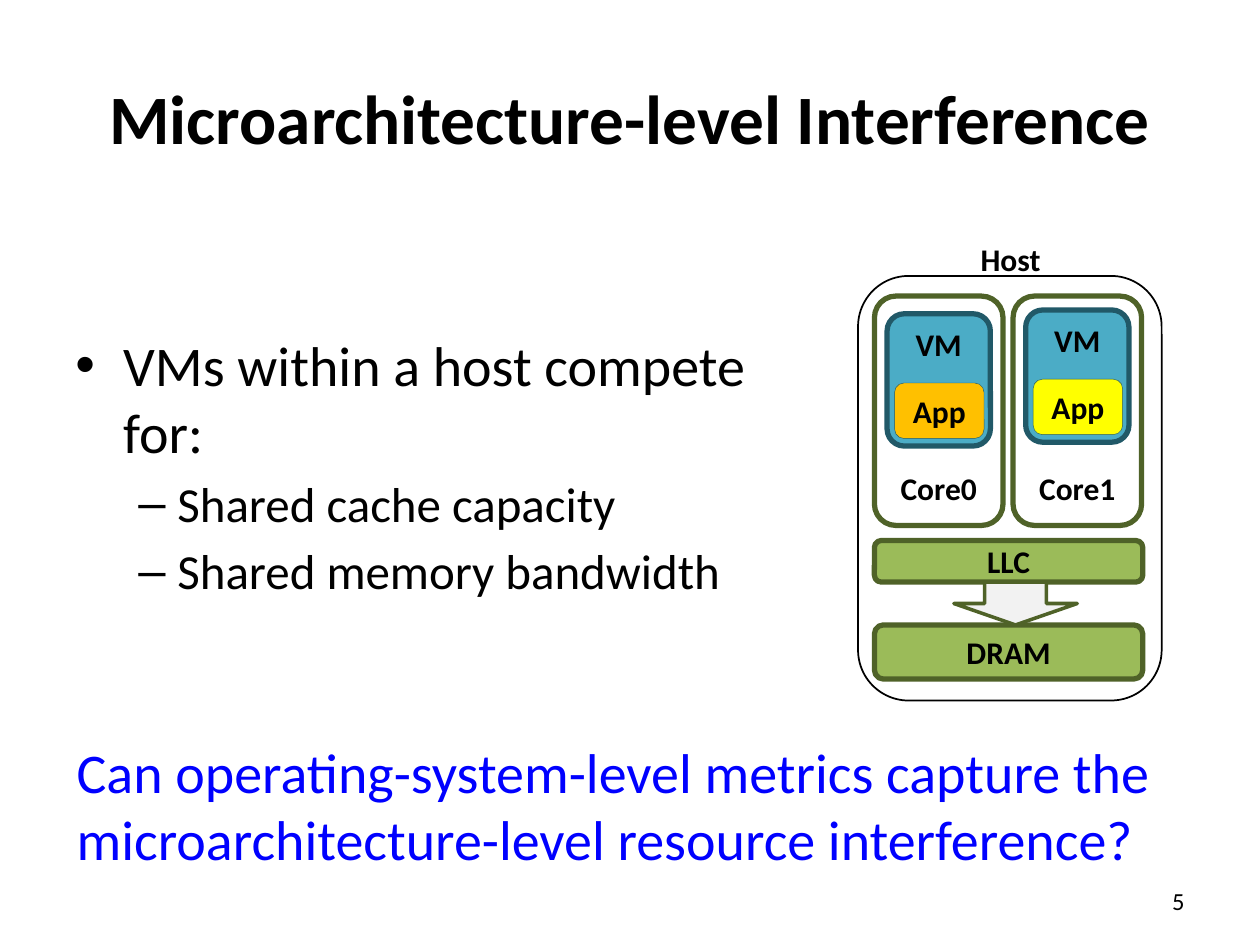
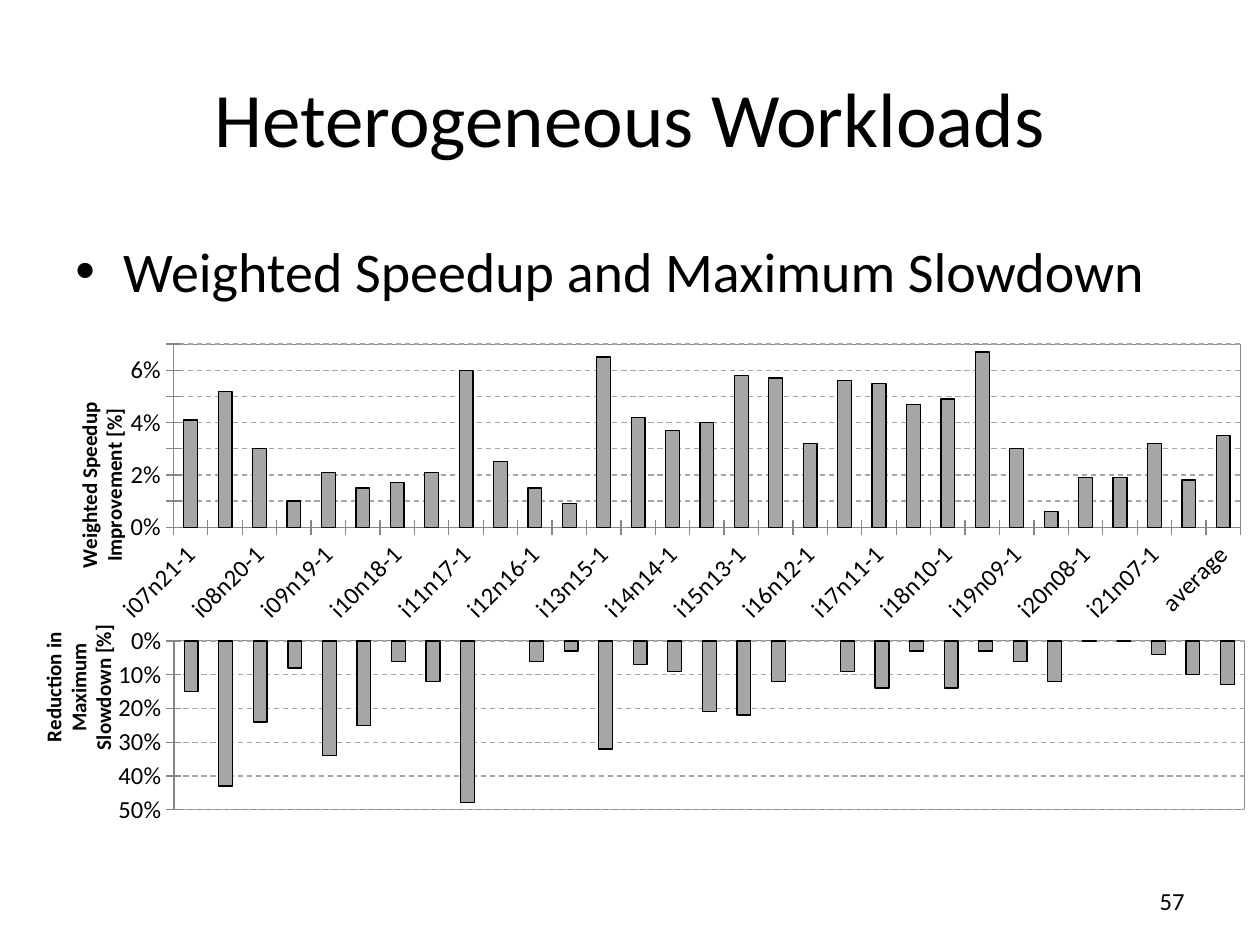
import pptx
import pptx.util
import pptx.chart.data
import pptx.dml.color
import pptx.enum.chart
import pptx.enum.dml
import pptx.enum.shapes
import pptx.enum.text
import pptx.oxml
import pptx.oxml.ns
from dataclasses import dataclass

PX = 9144  # one px is a hundredth of an inch
SHAPE = pptx.enum.shapes.MSO_SHAPE
ALIGN = pptx.enum.text.PP_ALIGN
ANCHOR = pptx.enum.text.MSO_ANCHOR
QN = pptx.oxml.ns.qn
NAMESPACES = pptx.oxml.ns.nsdecls("c", "a")


@dataclass(frozen=True)
class Theme:
    font: str = "Calibri"
    ink: str = "000000"
    question: str = "0000FF"
    vm: str = "4BACC6"
    vm_line: str = "215968"
    memory: str = "9BBB59"
    core_line: str = "4F6228"
    arrow: str = "F2F2F2"
    bar: str = "A6A6A6"
    axis: str = "868686"
    title: float = 44
    long_title: float = 39.6
    body: float = 32
    sub_body: float = 28
    label: float = 18
    small: float = 14
    axis_title: float = 12


THEME = Theme()

# ---- Content: interference slide ----
INTERFERENCE = {
    "title": "Microarchitecture-level Interference",
    "number": "5",
    "bullets": [
        (0, "VMs within a host compete for:"),
        (1, "Shared cache capacity"),
        (1, "Shared memory bandwidth"),
    ],
    "question": "Can operating-system-level metrics capture the "
                "microarchitecture-level resource interference?",
}
# core label, app colour, top of the virtual machine
CORES = [("Core0", "FFC000", 249), ("Core1", "FFFF00", 246)]
# label, top, height
MEMORIES = [("LLC", 429, 33), ("DRAM", 496, 43)]

# ---- Content: workloads slide ----
WORKLOADS = {
    "title": "Heterogeneous Workloads",
    "number": "57",
    "bullets": [(0, "Weighted Speedup and Maximum Slowdown")],
}
WORKLOAD_NAMES = [f"i{i:02}n{28 - i:02}-{run}" for i in range(7, 22) for run in (1, 2)] + ["average"]
SLOWDOWN = {
    "place": (0, 422, 1000, 394),
    "plot": (0.138, 0.22, 0.85, 0.34),
    "title": ["Reduction in", "Maximum", "Slowdown [%]"],
    "title_at": (0.028, 0.18),
    "maximum": 0.5, "step": 0.1, "downward": True,
    "names": [str(n + 1) for n in range(len(WORKLOAD_NAMES))],
    "values": [0.15, 0.43, 0.24, 0.08, 0.34, 0.25, 0.06, 0.12, 0.48, -0.03, 0.06,
               0.03, 0.32, 0.07, 0.09, 0.21, 0.22, 0.12, -0.06, 0.09, 0.14, 0.03,
               0.14, 0.03, 0.06, 0.12, 0, 0, 0.04, 0.1, 0.13],
}
SPEEDUP = {
    "place": (-29, 123, 1029, 383),
    "plot": (0.162, 0.392, 0.823, 0.38),
    "title": ["Weighted Speedup", "Improvement [%]"],
    "title_at": (0.083, 0.505),
    "maximum": 0.07, "step": 0.01, "downward": False,
    "names": WORKLOAD_NAMES,
    "values": [0.041, 0.052, 0.03, 0.01, 0.021, 0.015, 0.017, 0.021, 0.06, 0.025,
               0.015, 0.009, 0.065, 0.042, 0.037, 0.04, 0.058, 0.057, 0.032, 0.056,
               0.055, 0.047, 0.049, 0.067, 0.03, 0.006, 0.019, 0.019, 0.032, 0.018,
               0.035],
}
# level: bullet, left margin, hanging indent, type size
LEVELS = [("•", 38, 38, THEME.body), ("–", 81, 31, THEME.sub_body)]


# ---- Shared helpers ----
def emu(lengths):
    return [length * PX for length in lengths]


def rgb(colour):
    return pptx.dml.color.RGBColor.from_string(colour)


def style_font(font, size, colour=THEME.ink, bold=False):
    font.name = THEME.font
    font.size = pptx.util.Pt(size)
    font.bold = bold
    font.color.rgb = rgb(colour)


def style_line(line, colour, width):
    line.color.rgb = rgb(colour)
    line.width = pptx.util.Pt(width)


def write(para, text, size, **look):
    span = para.add_run()
    span.text = text
    style_font(span.font, size, **look)


def add_text(page, place, text, size, align=ALIGN.LEFT, anchor=ANCHOR.TOP, wrap=True, **look):
    frame = page.shapes.add_textbox(*emu(place)).text_frame
    frame.word_wrap = wrap
    frame.vertical_anchor = anchor
    frame.paragraphs[0].alignment = align
    write(frame.paragraphs[0], text, size, **look)


def add_block(page, place, line, width, fill=None, text=None, anchor=ANCHOR.MIDDLE,
              preset=SHAPE.ROUNDED_RECTANGLE):
    block = page.shapes.add_shape(preset, *emu(place))
    block.shadow.inherit = False
    if fill:
        block.fill.solid()
        block.fill.fore_color.rgb = rgb(fill)
    else:
        block.fill.background()
    style_line(block.line, line, width)
    if text:
        frame = block.text_frame
        frame.vertical_anchor = anchor
        frame.paragraphs[0].alignment = ALIGN.CENTER
        write(frame.paragraphs[0], text, THEME.label, bold=True)
    return block


def add_bullets(page, place, bullets):
    frame = page.shapes.add_textbox(*emu(place)).text_frame
    frame.word_wrap = True
    frame.margin_top = 13 * PX
    for index, (level, text) in enumerate(bullets):
        para = frame.add_paragraph() if index else frame.paragraphs[0]
        mark, margin, hanging, size = LEVELS[level]
        properties = para._p.get_or_add_pPr()
        properties.set("marL", str(margin * PX))
        properties.set("indent", str(-hanging * PX))
        for tag, key, value in (("buFont", "typeface", "Arial"), ("buChar", "char", mark)):
            bullet = pptx.oxml.parse_xml(f"<a:{tag} {NAMESPACES}/>")
            bullet.set(key, value)
            properties.append(bullet)
        if index:
            para.space_before = pptx.util.Pt(5)
        write(para, text, size)


def add_title(page, text, left, width, size, bold=False):
    add_text(page, (left, 30, width, 125), text, size, ALIGN.CENTER, ANCHOR.MIDDLE, bold=bold)


def add_number(page, text):
    add_text(page, (717, 695, 233, 40), text, THEME.small, ALIGN.RIGHT, ANCHOR.MIDDLE)


# ---- Chart helpers ----
def manual_layout(*numbers, inner=False):
    parts = '<c:layoutTarget val="inner"/>' if inner else ""
    parts += '<c:xMode val="edge"/><c:yMode val="edge"/>'
    parts += "".join(f'<c:{key} val="{n}"/>' for key, n in zip("xywh", numbers))
    return pptx.oxml.parse_xml(
        f"<c:layout {NAMESPACES}><c:manualLayout>{parts}</c:manualLayout></c:layout>")


def drop_layout(parent):
    for old in parent.findall(QN("c:layout")):
        parent.remove(old)


def frame_properties(line):
    return pptx.oxml.parse_xml(f"<c:spPr {NAMESPACES}><a:noFill/><a:ln>{line}</a:ln></c:spPr>")


def add_axis_title(axis, lines, place):
    frame = axis.axis_title.text_frame
    for index, text in enumerate(lines):
        para = frame.add_paragraph() if index else frame.paragraphs[0]
        write(para, text, THEME.axis_title, bold=True)
    body = frame._txBody.find(QN("a:bodyPr"))
    body.set("rot", "-5400000")
    body.set("vert", "horz")
    title = axis.axis_title._element
    drop_layout(title)
    title.find(QN("c:tx")).addnext(manual_layout(*place))


def add_bar_chart(page, content):
    data = pptx.chart.data.CategoryChartData(number_format="0.0%")
    data.categories = content["names"]
    data.add_series("Series 1", content["values"])
    kind = pptx.enum.chart.XL_CHART_TYPE.COLUMN_CLUSTERED
    chart = page.shapes.add_chart(kind, *emu(content["place"]), data).chart
    chart.has_legend = False
    chart.has_title = False
    style_font(chart.font, 10)

    # Bars
    plot = chart.plots[0]
    plot.gap_width = 150
    plot.vary_by_categories = False
    bars = plot.series[0]
    bars.invert_if_negative = False
    bars.format.fill.solid()
    bars.format.fill.fore_color.rgb = rgb(THEME.bar)
    style_line(bars.format.line, THEME.ink, 0.75)

    # Axes
    for axis in (chart.category_axis, chart.value_axis):
        axis.major_tick_mark = pptx.enum.chart.XL_TICK_MARK.CROSS
        style_line(axis.format.line, THEME.axis, 0.75)
        style_font(axis.tick_labels.font, THEME.small)
    names, values = chart.category_axis, chart.value_axis
    names.has_major_gridlines = False
    names._element.find(QN("c:txPr")).find(QN("a:bodyPr")).set("rot", "-2700000")
    names.visible = not content["downward"]
    values.reverse_order = content["downward"]
    values.minimum_scale = 0
    values.maximum_scale = content["maximum"]
    values.major_unit = content["step"]
    values.tick_labels.number_format = "0%"
    values.tick_labels.number_format_is_linked = False
    grid = values.major_gridlines.format.line
    style_line(grid, THEME.bar, 0.75)
    grid.dash_style = pptx.enum.dml.MSO_LINE.DASH
    add_axis_title(values, content["title"], content["title_at"])

    # Plot frame and clear background
    space = chart._chartSpace
    area = space.chart.plotArea
    drop_layout(area)
    area.insert(0, manual_layout(*content["plot"], inner=True))
    area.append(frame_properties(
        f'<a:solidFill><a:srgbClr val="{THEME.axis}"/></a:solidFill>'))
    space.chart.addnext(frame_properties("<a:noFill/>"))


# ---- Slides ----
def add_host(page):
    add_block(page, (681, 219, 241, 337), THEME.ink, 1)
    add_text(page, (768, 186, 68, 40), "Host", THEME.label, ALIGN.CENTER, wrap=False, bold=True)
    for index, (core, app_colour, vm_top) in enumerate(CORES):
        left = 694 + 110 * index
        block = add_block(page, (left, 235, 102, 182), THEME.core_line, 3,
                          text=core, anchor=ANCHOR.BOTTOM)
        block.text_frame.margin_bottom = 10 * PX
        add_block(page, (left + 10, vm_top, 82, 105), THEME.vm_line, 3, THEME.vm,
                  "VM", ANCHOR.TOP)
        add_block(page, (left + 16, vm_top + 55, 71, 44), THEME.vm_line, 0.25, app_colour, "App")
    for name, top, height in MEMORIES:
        add_block(page, (694, top, 213, height), THEME.core_line, 3, THEME.memory, name)
    add_block(page, (757, 462, 98, 34), THEME.core_line, 2, THEME.arrow, preset=SHAPE.DOWN_ARROW)


def build_interference(page):
    add_title(page, INTERFERENCE["title"], 50, 900, THEME.long_title, bold=True)
    add_number(page, INTERFERENCE["number"])
    add_host(page)
    add_bullets(page, (50, 249, 623, 254), INTERFERENCE["bullets"])
    add_text(page, (51, 580, 878, 118), INTERFERENCE["question"], THEME.body,
             colour=THEME.question)


def build_workloads(page):
    add_number(page, WORKLOADS["number"])
    for content in (SLOWDOWN, SPEEDUP):
        add_bar_chart(page, content)
    add_title(page, WORKLOADS["title"], 0, 1000, THEME.title)
    add_bullets(page, (50, 175, 900, 495), WORKLOADS["bullets"])


def main():
    deck = pptx.Presentation()
    deck.slide_width, deck.slide_height = emu((1000, 750))
    for build in (build_interference, build_workloads):
        build(deck.slides.add_slide(deck.slide_layouts[6]))
    deck.save("out.pptx")


if __name__ == "__main__":
    main()
